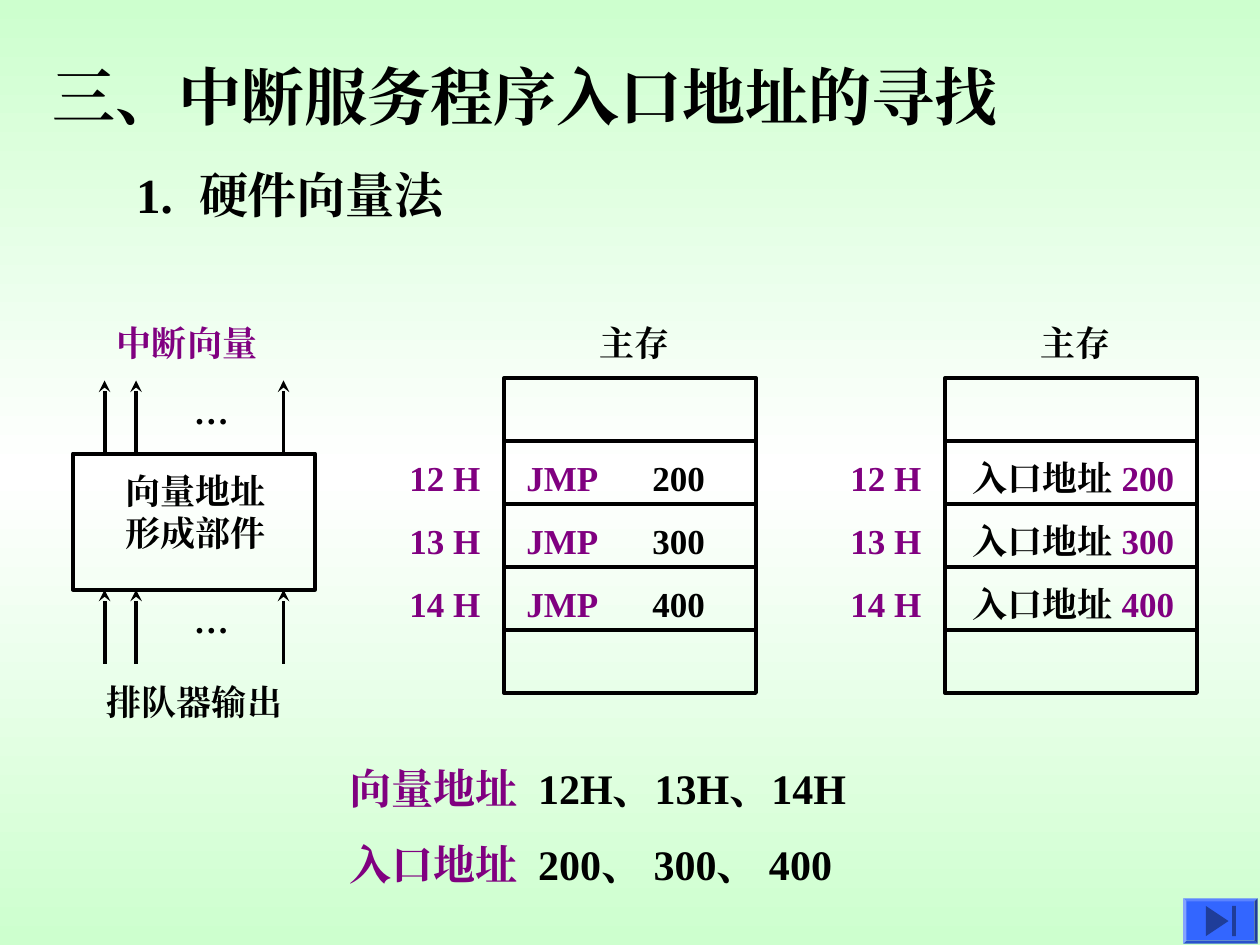
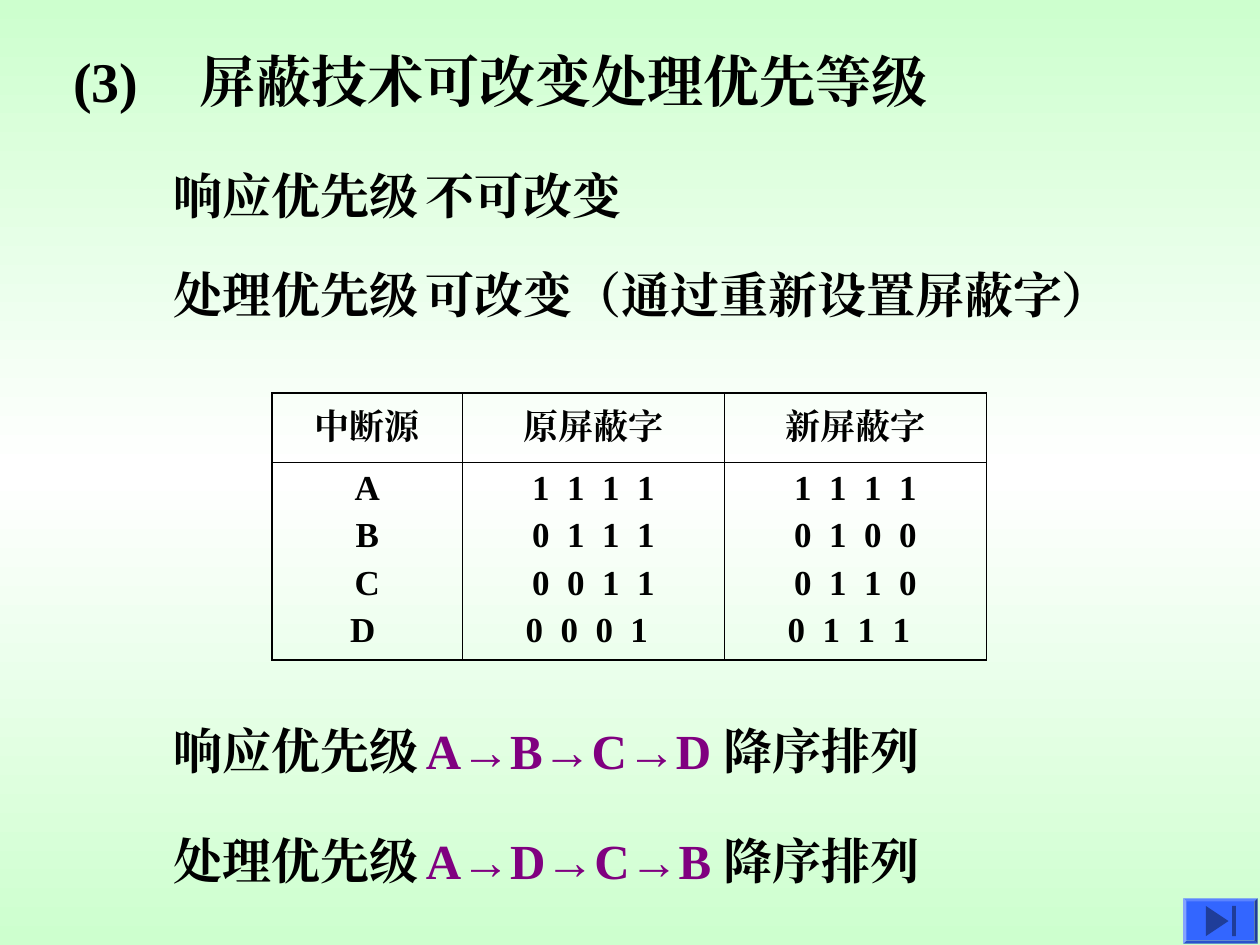
from copy import deepcopy

from lxml.etree import SubElement
from pptx import Presentation
from pptx.dml.color import RGBColor
from pptx.enum.shapes import MSO_CONNECTOR, MSO_SHAPE
from pptx.enum.text import MSO_ANCHOR as Anchor, MSO_AUTO_SIZE, PP_ALIGN as Align
from pptx.oxml.ns import qn
from pptx.util import Inches, Pt

COLORS = {
    "ink": "000000",
    "accent": "800080",
    "mint": "CDFFCE",
    "white": "FFFFFF",
    "button": "3366FF",
    "button_mark": "1F3D99",
}
FONT = "Times New Roman"
ROOMY = (0.1, 0.05)
FLAT = (0, 0.05)
TIGHT = (0, 0)
LINE_WIDTH = 2.25
CELL_HEIGHT = 0.5


def rgb(name):
    return RGBColor.from_string(COLORS[name])


def inches(*lengths):
    return [Inches(length) for length in lengths]


def write(frame, paragraphs, size=20, color="ink", align=Align.LEFT, before=0, tab=None, spacing=0):
    for index, content in enumerate(paragraphs):
        paragraph = frame.paragraphs[0] if index == 0 else frame.add_paragraph()
        paragraph.alignment = align
        paragraph.space_before = Pt(before)
        properties = paragraph._p.get_or_add_pPr()
        properties.set("marL", "0")
        properties.set("indent", "0")
        SubElement(properties, qn("a:buNone"))
        if tab:
            stops = SubElement(properties, qn("a:tabLst"))
            SubElement(stops, qn("a:tab"), pos=str(Inches(tab)), algn="l")
        pieces = [(content, color)] if isinstance(content, str) else content
        for words, piece_color in pieces:
            run = paragraph.add_run()
            run.text = words
            run.font.size = Pt(size)
            run.font.bold = True
            run.font.color.rgb = rgb(piece_color)
            run.font.name = FONT
            run_properties = run._r.get_or_add_rPr()
            SubElement(run_properties, qn("a:ea"), typeface=FONT)
            if spacing:
                run_properties.set("spc", str(int(spacing * 100)))


def fill_frame(holder, paragraphs, insets=ROOMY, anchor=Anchor.TOP, **style):
    frame = holder.text_frame
    frame.word_wrap = True
    frame.auto_size = MSO_AUTO_SIZE.NONE
    frame.vertical_anchor = anchor
    frame.margin_left = frame.margin_right = Inches(insets[0])
    frame.margin_top = frame.margin_bottom = Inches(insets[1])
    write(frame, paragraphs, **style)


def add_text(slide, box, paragraphs, **style):
    fill_frame(slide.shapes.add_textbox(*inches(*box)), paragraphs, **style)


def place(holder, box, paragraphs, **style):
    holder.left, holder.top, holder.width, holder.height = inches(*box)
    fill_frame(holder, paragraphs, **style)


def add_outline(slide, box):
    outline = slide.shapes.add_shape(MSO_SHAPE.RECTANGLE, *inches(*box))
    outline.shadow.inherit = False
    outline.fill.background()
    outline.line.color.rgb = rgb("ink")
    outline.line.width = Pt(LINE_WIDTH)


def paint(shape, color):
    shape.shadow.inherit = False
    shape.fill.solid()
    shape.fill.fore_color.rgb = rgb(color)
    shape.line.fill.background()


def add_up_arrow(slide, x, bottom, top):
    arrow = slide.shapes.add_connector(MSO_CONNECTOR.STRAIGHT, *inches(x, bottom, x, top))
    arrow.line.color.rgb = rgb("ink")
    arrow.line.width = Pt(LINE_WIDTH)
    SubElement(arrow.line._get_or_add_ln(), qn("a:tailEnd"), type="stealth")
    SubElement(arrow._element.spPr, qn("a:effectLst"))


def add_signal_group(slide, bottom, top):
    for x in (0.83, 1.08, 2.25):
        add_up_arrow(slide, x, bottom, top)
    add_text(slide, (1.44, top + 0.02, 0.6, 0.44), ["…"])


def add_memory(slide, left, entries, entry_left, tab=None):
    first_top = 3
    add_text(slide, (left + 0.66, 2.5, 1, 0.44), ["主存"])
    for row in range(5):
        add_outline(slide, (left, first_top + row * CELL_HEIGHT, 2, CELL_HEIGHT))
    for row, (address, entry) in enumerate(zip(("12 H", "13 H", "14 H"), entries), 1):
        top = first_top + row * CELL_HEIGHT
        add_text(slide, (left - 0.75, top, 0.7, 0.58), [address],
                 color="accent", insets=FLAT, anchor=Anchor.MIDDLE)
        add_text(slide, (left + entry_left, top + 0.07, 2, 0.44), [entry], tab=tab)


def add_end_button(slide):
    frame = slide.shapes.add_shape(MSO_SHAPE.BEVEL, *inches(9.39, 7.13, 0.59, 0.36))
    frame.adjustments[0] = 0.07
    paint(frame, "button")
    builder = slide.shapes.build_freeform(*inches(9.57, 7.19))
    builder.add_line_segments([inches(9.75, 7.31), inches(9.57, 7.43)], close=True)
    paint(builder.convert_to_shape(), "button_mark")
    bar = slide.shapes.add_shape(MSO_SHAPE.RECTANGLE, *inches(9.78, 7.19, 0.03, 0.24))
    paint(bar, "button_mark")


def set_cell_borders(cell, widths):
    properties = cell._tc.get_or_add_tcPr()
    for index, (side, width) in enumerate(widths.items()):
        border = SubElement(properties, qn(f"a:ln{side}"), w=str(Pt(width)))
        fill = SubElement(border, qn("a:solidFill"))
        SubElement(fill, qn("a:srgbClr"), val=COLORS["ink"])
        properties.insert(index, border)


def add_mask_table(slide):
    columns = {
        "中断源": ["A", "B", "C", "D "],
        "原屏蔽字": ["1 1 1 1", "0 1 1 1", "0 0 1 1", "0 0 0 1 "],
        "新屏蔽字": ["1 1 1 1", "0 1 0 0", "0 1 1 0", "0 1 1 1 "],
    }
    widths, heights = (1.51, 2.08, 2.08), (0.55, 1.57)
    outer, inner = 1.08, 0.45
    table = slide.shapes.add_table(2, 3, *inches(2.16, 3.12, sum(widths), sum(heights))).table
    table.first_row = table.horz_banding = False
    for row, height in zip(table.rows, heights):
        row.height = Inches(height)
    for index, (heading, values) in enumerate(columns.items()):
        table.columns[index].width = Inches(widths[index])
        for row, paragraphs in enumerate(([heading], values)):
            cell = table.cell(row, index)
            cell.fill.background()
            cell.vertical_anchor = Anchor.TOP if row else Anchor.MIDDLE
            write(cell.text_frame, paragraphs, align=Align.CENTER, before=5,
                  spacing=2.5 if row and index else 0)
            set_cell_borders(cell, {
                "L": inner if index else outer,
                "R": outer if index == 2 else inner,
                "T": inner if row else outer,
                "B": outer if row else inner,
            })


def set_background(master):
    fill = master.background.fill
    fill.gradient()
    fill.gradient_angle = 90
    stops = master.element.find(f".//{qn('p:bgPr')}//{qn('a:gsLst')}")
    stops.append(deepcopy(stops[0]))
    for stop, color, position in zip(fill.gradient_stops, ("mint", "white", "mint"), (0, 0.5, 1)):
        stop.color.rgb = rgb(color)
        stop.position = position


def add_slide(deck, title, title_box, **style):
    slide = deck.slides.add_slide(deck.slide_layouts[1])
    place(slide.shapes.title, title_box, [title], anchor=Anchor.MIDDLE, **style)
    add_end_button(slide)
    return slide


def build_vector_slide(deck):
    slide = add_slide(deck, "三、中断服务程序入口地址的寻找", (0.42, 0.42, 9.5, 0.67),
                      size=36, insets=FLAT)
    add_text(slide, (1.08, 1.25, 4.25, 0.58), ["1.\t硬件向量法"],
             size=28, insets=FLAT, anchor=Anchor.MIDDLE, tab=0.58)

    add_text(slide, (0.83, 2.5, 1.83, 0.44), ["中断向量"], color="accent")
    add_signal_group(slide, 3.6, 3.02)
    add_outline(slide, (0.58, 3.6, 1.92, 1.08))
    add_text(slide, (0.9, 3.68, 1.5, 0.77), ["向量地址", "形成部件"])
    add_signal_group(slide, 5.27, 4.68)
    add_text(slide, (0.75, 5.35, 2.33, 0.44), ["排队器输出"])

    targets = ("200", "300", "400")
    jumps = [[("JMP\t", "accent"), (target, "ink")] for target in targets]
    entries = [[("入口地址 ", "ink"), (target, "accent")] for target in targets]
    add_memory(slide, 4, jumps, 0.08, tab=1.13)
    add_memory(slide, 7.5, entries, 0.12)

    place(slide.placeholders[1], (2.67, 6, 7.3, 1.11), [
        [("向量地址\t", "accent"), ("12H、13H、14H", "ink")],
        [("入口地址\t", "accent"), ("200、 300、 400", "ink")],
    ], size=24, before=15, tab=1.64)


def build_mask_slide(deck):
    slide = add_slide(deck, "(3)\t屏蔽技术可改变处理优先等级", (0.58, 0.36, 9, 0.55),
                      size=32, insets=TIGHT, tab=0.85)
    place(slide.placeholders[1], (1.38, 1.31, 8.5, 1.26), [
        "响应优先级\t不可改变",
        "处理优先级\t可改变（通过重新设置屏蔽字）",
    ], size=28, insets=TIGHT, before=23, tab=2.75)
    add_mask_table(slide)
    orders = (("响应优先级", "A→B→C→D ", 5.72), ("处理优先级", "A→D→C→B ", 6.59))
    for priority, order, top in orders:
        add_text(slide, (1.38, top, 7.2, 0.47),
                 [[(f"{priority}\t", "ink"), (order, "accent"), ("降序排列", "ink")]],
                 size=28, insets=TIGHT, anchor=Anchor.MIDDLE, tab=2.2)


def main():
    deck = Presentation()
    deck.slide_width, deck.slide_height = inches(10, 7.5)
    set_background(deck.slide_master)
    build_vector_slide(deck)
    build_mask_slide(deck)
    deck.save("out.pptx")


if __name__ == "__main__":
    main()
